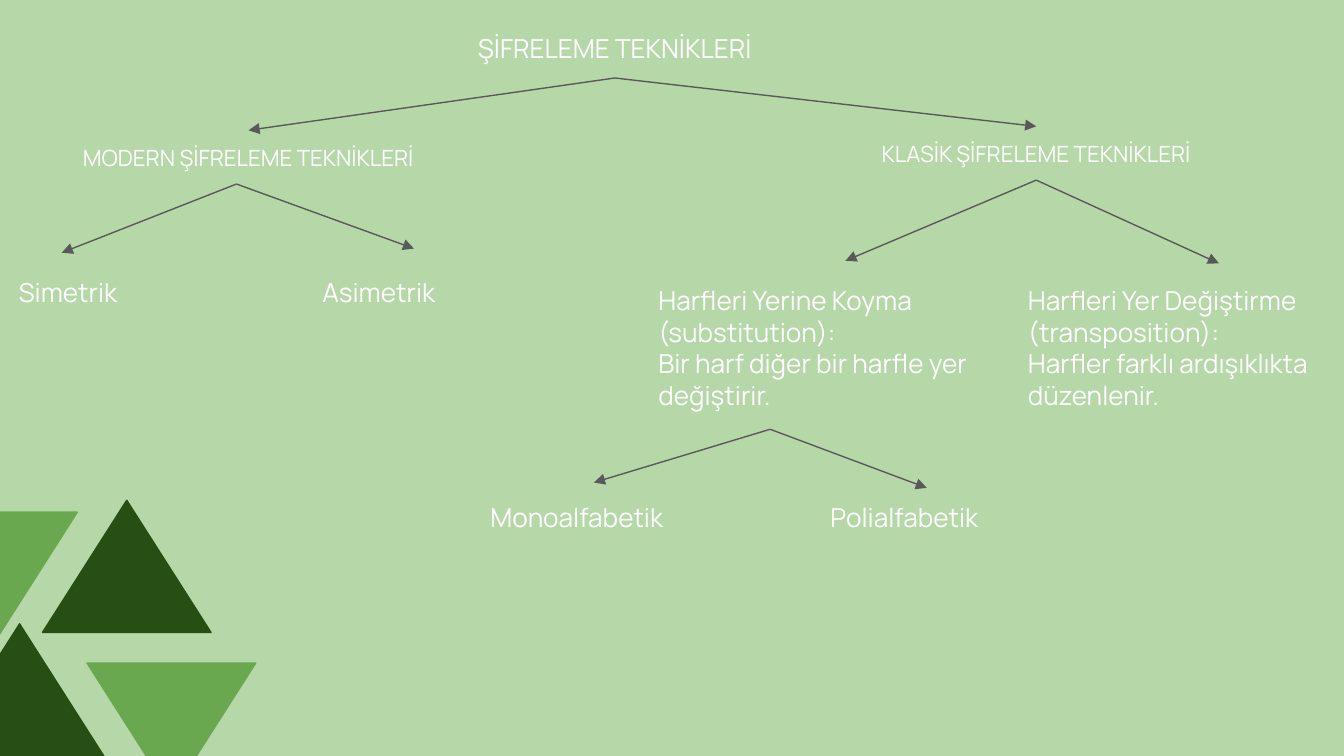
from dataclasses import dataclass
from typing import Optional, Union

from lxml.etree import SubElement
from pptx import Presentation
from pptx.dml.color import RGBColor
from pptx.enum.shapes import MSO_CONNECTOR, MSO_SHAPE
from pptx.enum.text import MSO_ANCHOR, MSO_AUTO_SIZE, PP_ALIGN
from pptx.oxml.ns import qn
from pptx.util import Pt

TOP, BOTTOM = 0, 2
BACKGROUND, WHITE, GRAY = "B6D7A8", "FFFFFF", "595959"
DARK_GREEN, GREEN = "274E13", "6AA84F"


@dataclass(frozen=True)
class Node:
    name: str
    paragraphs: tuple[str, ...]
    left: float
    top: float
    width: float
    height: float = 31.7
    size: float = 14
    centered: bool = False


@dataclass(frozen=True)
class Branch:
    """An arrow; each end is a node name (joined to it) or a free point."""
    start: Union[str, tuple[float, float]]
    end: Union[str, tuple[float, float]]


@dataclass(frozen=True)
class Triangle:
    left: float
    top: float
    color: str
    rotation: float = 0


NODES = (
    Node("root", ("ŞİFRELEME TEKNİKLERİ",), 205.9, 10.1, 247, centered=True),
    Node("modern", ("MODERN ŞİFRELEME TEKNİKLERİ",), 23, 69.8, 220.3, 28.8, 12, True),
    Node("classic", ("KLASİK ŞİFRELEME TEKNİKLERİ",), 445, 67.7, 220.3, 28.8, 12, True),
    Node("symmetric", ("Simetrik",), 2.9, 141.1, 129.6),
    Node("asymmetric", ("Asimetrik",), 165.6, 141.1, 90),
    Node("substitution", ("Harfleri Yerine Koyma (substitution):",
                          "Bir harf diğer bir harfle yer değiştirir."),
         345.6, 145.4, 193, 82.1),
    Node("transposition", ("Harfleri Yer Değiştirme (transposition):",
                           "Harfler farklı ardışıklıkta düzenlenir."),
         543.6, 145.4, 187.9, 82.1),
    Node("monoalphabetic", ("Monoalfabetik",), 255.6, 261.4, 124.6),
    Node("polyalphabetic", ("Polialfabetik",), 437.8, 261.4, 117.4),
)

MODERN_FORK = (126.7, 98.6)
SUBSTITUTION_FORK = (412.6, 230)
BRANCHES = (
    Branch("root", "modern"),
    Branch("root", "classic"),
    Branch(MODERN_FORK, (33.1, 135.4)),
    Branch(MODERN_FORK, (221.8, 133.2)),
    Branch("classic", (452.9, 139.7)),
    Branch("classic", (653, 141.1)),
    Branch(SUBSTITUTION_FORK, (318.2, 258.5)),
    Branch(SUBSTITUTION_FORK, "polyalphabetic"),
)

TRIANGLE_WIDTH, TRIANGLE_HEIGHT = 90.4, 70.9
TRIANGLES = (
    Triangle(-34.7, 334.2, DARK_GREEN),
    Triangle(-49, 274.4, GREEN, 180),
    Triangle(46.6, 355.2, GREEN, 180),
    Triangle(22.7, 268, DARK_GREEN),
)


def color(hex_value: str) -> RGBColor:
    return RGBColor.from_string(hex_value)


def draw_node(page, node: Node):
    """Write the node as a text box, or into the title if it is the root."""
    area = [Pt(value) for value in (node.left, node.top, node.width, node.height)]
    if node.name == "root":
        box = page.shapes.title
        box.left, box.top, box.width, box.height = area
    else:
        box = page.shapes.add_textbox(*area)
    frame = box.text_frame
    frame.text = "\n".join(node.paragraphs)
    frame.word_wrap = True
    frame.auto_size = MSO_AUTO_SIZE.SHAPE_TO_FIT_TEXT
    frame.vertical_anchor = MSO_ANCHOR.TOP
    frame.margin_left = frame.margin_right = Pt(7.2)
    frame.margin_top = frame.margin_bottom = Pt(7.2)
    for para in frame.paragraphs:
        para.alignment = PP_ALIGN.CENTER if node.centered else PP_ALIGN.LEFT
        para.font.name = "Manrope"
        para.font.size = Pt(node.size)
        para.font.color.rgb = color(WHITE)
    return box


def free_point(end: Union[str, tuple[float, float]]) -> Optional[tuple[float, float]]:
    return None if isinstance(end, str) else end


def draw_branch(page, branch: Branch, boxes: dict) -> None:
    start = free_point(branch.start) or (0, 0)
    end = free_point(branch.end) or (0, 0)
    arrow = page.shapes.add_connector(
        MSO_CONNECTOR.STRAIGHT, *(Pt(value) for value in (*start, *end)))
    if branch.start in boxes:
        arrow.begin_connect(boxes[branch.start], BOTTOM)
    if branch.end in boxes:
        arrow.end_connect(boxes[branch.end], TOP)
    arrow.line.color.rgb = color(GRAY)
    arrow.line.width = Pt(0.75)
    properties = arrow.line._get_or_add_ln()
    SubElement(properties, qn("a:tailEnd"), type="triangle")
    SubElement(properties.getparent(), qn("a:effectLst"))


def draw_triangle(page, triangle: Triangle) -> None:
    shape = page.shapes.add_shape(
        MSO_SHAPE.ISOSCELES_TRIANGLE, Pt(triangle.left), Pt(triangle.top),
        Pt(TRIANGLE_WIDTH), Pt(TRIANGLE_HEIGHT))
    shape.rotation = triangle.rotation
    shape.shadow.inherit = False
    shape.fill.solid()
    shape.fill.fore_color.rgb = color(triangle.color)
    shape.line.color.rgb = color(triangle.color)
    shape.line.width = Pt(0.75)


def main() -> None:
    deck = Presentation()
    deck.slide_width, deck.slide_height = Pt(720), Pt(405)
    page = deck.slides.add_slide(deck.slide_layouts.get_by_name("Title Only"))
    page.background.fill.solid()
    page.background.fill.fore_color.rgb = color(BACKGROUND)

    boxes = {node.name: draw_node(page, node) for node in NODES}
    for branch in BRANCHES:
        draw_branch(page, branch, boxes)
    for triangle in TRIANGLES:
        draw_triangle(page, triangle)
    deck.save("out.pptx")


if __name__ == "__main__":
    main()
